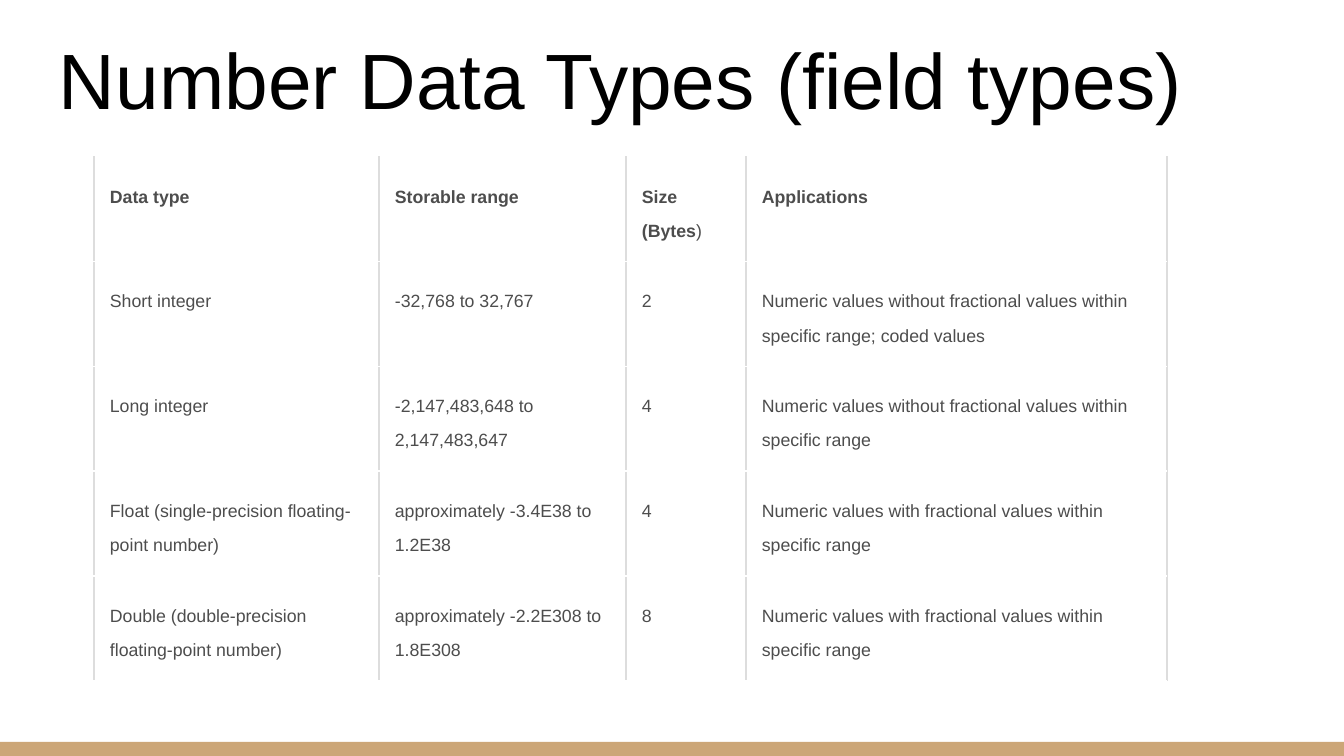
"""Build a slide with a table of number data types."""
from lxml import etree
from pptx import Presentation
from pptx.dml.color import RGBColor
from pptx.enum.shapes import MSO_SHAPE
from pptx.enum.text import MSO_ANCHOR
from pptx.oxml.ns import qn
from pptx.util import Pt

RECTANGLE = MSO_SHAPE.RECTANGLE
BOTTOM = MSO_ANCHOR.BOTTOM
TOP = MSO_ANCHOR.TOP
PX = 914400 / 134.4
COLORS = {
    "title": "000000",
    "text": "4D4D4D",
    "cell": "FFFFFF",
    "border": "DDDDDD",
    "band": "CCA677",
}
COLUMN_WIDTHS = [285, 247, 120, 421]
ROW_HEIGHT = 102
ROWS = [
    ["Data type", "Storable range", "Size (Bytes", "Applications"],
    ["Short integer", "-32,768 to 32,767", "2",
     "Numeric values without fractional values within specific range; coded values"],
    ["Long integer", "-2,147,483,648 to 2,147,483,647", "4",
     "Numeric values without fractional values within specific range"],
    ["Float (single-precision floating-point number)",
     "approximately -3.4E38 to 1.2E38", "4",
     "Numeric values with fractional values within specific range"],
    ["Double (double-precision floating-point number)",
     "approximately -2.2E308 to 1.8E308", "8",
     "Numeric values with fractional values within specific range"],
]


def px(*lengths):
    return [round(length * PX) for length in lengths]


def style_font(font, size, color):
    font.name = "Arial"
    font.size = Pt(size)
    font.color.rgb = RGBColor.from_string(COLORS[color])


presentation = Presentation()
presentation.slide_width, presentation.slide_height = px(1344, 756)
slide = presentation.slides.add_slide(presentation.slide_layouts[6])

band = slide.shapes.add_shape(RECTANGLE, *px(0, 742, 1344, 14))
band.shadow.inherit = False
band.fill.solid()
band.fill.fore_color.rgb = RGBColor.from_string(COLORS["band"])
band.line.fill.background()

title = slide.shapes.add_textbox(*px(46, 16, 1270, 122))
title_frame = title.text_frame
title_frame.word_wrap = True
title_frame.vertical_anchor = BOTTOM
(title_frame.margin_left, title_frame.margin_top,
 title_frame.margin_right, title_frame.margin_bottom) = px(13, 13, 13, 13)
title_frame.text = "Number Data Types (field types)"
style_font(title_frame.paragraphs[0].font, 42, "title")

table = slide.shapes.add_table(
    len(ROWS), len(COLUMN_WIDTHS),
    *px(94, 157, sum(COLUMN_WIDTHS), ROW_HEIGHT * len(ROWS))).table
table.first_row = False
table.horz_banding = False
for column, width in zip(table.columns, px(*COLUMN_WIDTHS)):
    column.width = width

for row_index, texts in enumerate(ROWS):
    table.rows[row_index].height = px(ROW_HEIGHT)[0]
    for column_index, text in enumerate(texts):
        cell = table.cell(row_index, column_index)
        cell.vertical_anchor = TOP
        (cell.margin_left, cell.margin_top,
         cell.margin_right, cell.margin_bottom) = px(16, 16, 16, 16)
        cell.fill.solid()
        cell.fill.fore_color.rgb = RGBColor.from_string(COLORS["cell"])
        cell.text = text
        paragraph = cell.text_frame.paragraphs[0]
        paragraph.line_spacing = 1.71
        style_font(paragraph.font, 9.5, "text")
        paragraph.font.bold = row_index == 0

        properties = cell._tc.get_or_add_tcPr()
        for position, side in enumerate(["a:lnL", "a:lnR"]):
            border = etree.Element(qn(side), w=str(Pt(0.75)))
            border_fill = etree.SubElement(border, qn("a:solidFill"))
            etree.SubElement(border_fill, qn("a:srgbClr"), val=COLORS["border"])
            properties.insert(position, border)

closing_bracket = table.cell(0, 2).text_frame.paragraphs[0].add_run()
closing_bracket.text = ")"
closing_bracket.font.bold = False

presentation.save("out.pptx")
